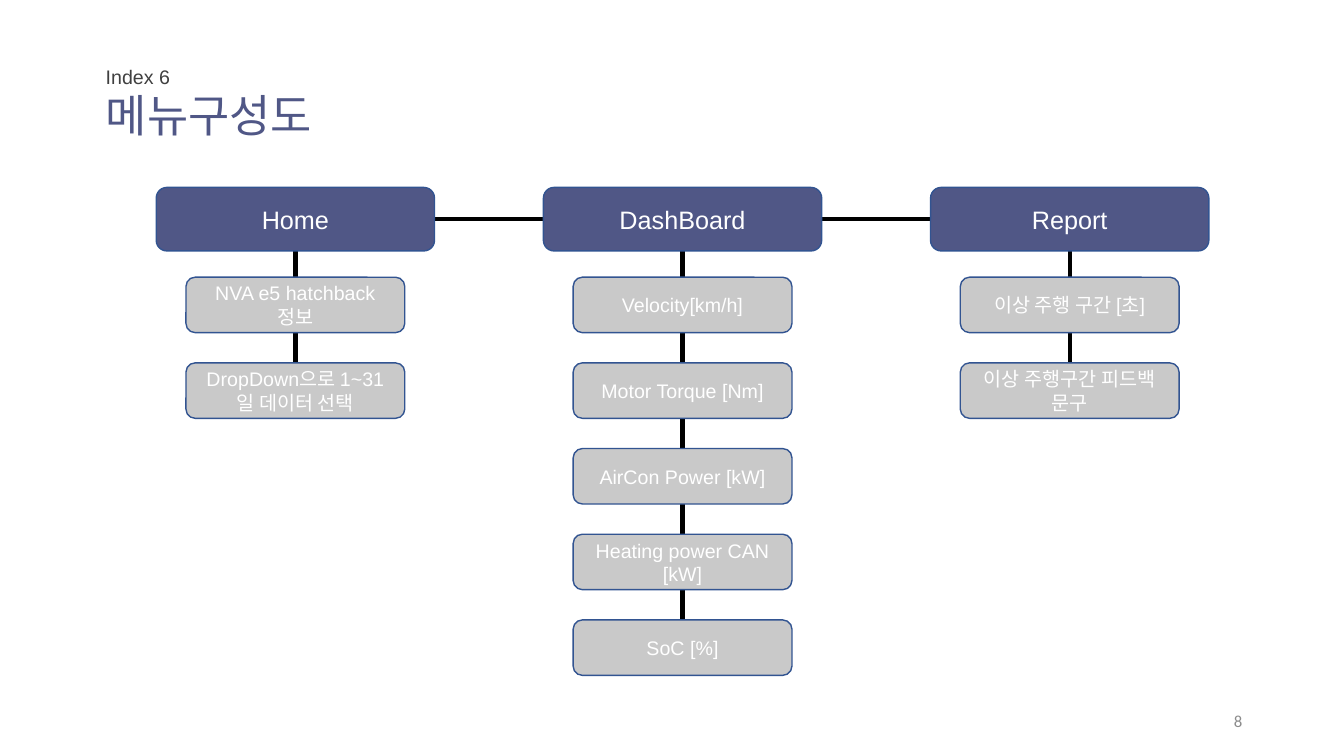
from lxml.etree import SubElement
from pptx import Presentation
from pptx.dml.color import RGBColor
from pptx.enum.shapes import MSO_CONNECTOR, MSO_SHAPE
from pptx.enum.text import MSO_ANCHOR as ANCHOR, MSO_AUTO_SIZE as AUTO_SIZE, PP_ALIGN as ALIGN
from pptx.oxml.ns import qn
from pptx.util import Inches, Pt

INDIGO, GRAY, OUTLINE = "505786", "C9C9C9", "325491"


def color(value):
    return RGBColor.from_string(value)


def write(shape, text, size, ink="FFFFFF", font="Arial", align=ALIGN.CENTER,
          anchor=ANCHOR.MIDDLE, wrap=True):
    frame = shape.text_frame
    frame.auto_size = AUTO_SIZE.NONE
    frame.word_wrap = wrap
    frame.vertical_anchor = anchor
    paragraph = frame.paragraphs[0]
    paragraph.alignment = align
    run = paragraph.add_run()
    run.text = text
    run.font.size = Pt(size)
    run.font.name = font
    run.font.color.rgb = color(ink)


presentation = Presentation()
presentation.slide_width = Inches(13.33)
presentation.slide_height = Inches(7.5)
slide = presentation.slides.add_slide(presentation.slide_layouts[5])
shapes = slide.shapes

# Title, index label and page number
title = shapes.title
title.left, title.top = Inches(0.95), Inches(0.82)
title.width, title.height = Inches(2.46), Inches(0.62)
write(title, "메뉴구성도", 32, INDIGO, align=ALIGN.LEFT, anchor=ANCHOR.TOP, wrap=False)

index_label = shapes.add_textbox(Inches(0.95), Inches(0.59), Inches(3.46), Inches(0.34))
write(index_label, "Index 6", 14, "404040", align=ALIGN.LEFT, anchor=ANCHOR.TOP)

page_number = shapes.add_textbox(Inches(9.42), Inches(6.95), Inches(3), Inches(0.4))
write(page_number, "8", 12, "8C8C8C", font="Calibri", align=ALIGN.RIGHT)

# Menu tree: one column per page
menus = [
    ("Home", ["NVA e5 hatchback 정보", "DropDown으로 1~31일 데이터 선택"]),
    ("DashBoard", ["Velocity[km/h]", "Motor Torque [Nm]", "AirCon Power [kW]",
                   "Heating power CAN [kW]", "SoC [%]"]),
    ("Report", ["이상 주행 구간 [초]", "이상 주행구간 피드백 문구"]),
]
FIRST_CENTER, COLUMN_STEP = 2.93, 3.84
MENU_TOP, MENU_WIDTH, MENU_HEIGHT = 1.86, 2.76, 0.63
ITEM_TOP, ITEM_STEP, ITEM_WIDTH, ITEM_HEIGHT = 2.75, 0.85, 2.17, 0.55
centers = [FIRST_CENTER + COLUMN_STEP * column for column in range(len(menus))]

# Lines behind the boxes
menu_middle = MENU_TOP + MENU_HEIGHT / 2
lines = [(centers[0], menu_middle, centers[-1], menu_middle)]
for center, (menu, items) in zip(centers, menus):
    lines.append((center, MENU_TOP, center, ITEM_TOP + ITEM_STEP * (len(items) - 1)))
for ends in lines:
    connector = shapes.add_connector(MSO_CONNECTOR.STRAIGHT, *map(Inches, ends))
    connector.line.color.rgb = color("000000")
    connector.line.width = Pt(3)
    SubElement(connector.element.spPr, qn("a:effectLst"))

# Boxes: menu heading, then its items
for center, (menu, items) in zip(centers, menus):
    boxes = [(menu, MENU_TOP, MENU_WIDTH, MENU_HEIGHT, INDIGO, 18)]
    for row, item in enumerate(items):
        boxes.append((item, ITEM_TOP + ITEM_STEP * row, ITEM_WIDTH, ITEM_HEIGHT, GRAY, 14))
    for text, top, width, height, fill, size in boxes:
        box = shapes.add_shape(MSO_SHAPE.ROUNDED_RECTANGLE, Inches(center - width / 2),
                               Inches(top), Inches(width), Inches(height))
        box.shadow.inherit = False
        box.fill.solid()
        box.fill.fore_color.rgb = color(fill)
        box.line.color.rgb = color(OUTLINE)
        box.line.width = Pt(1)
        write(box, text, size)

presentation.save("out.pptx")
